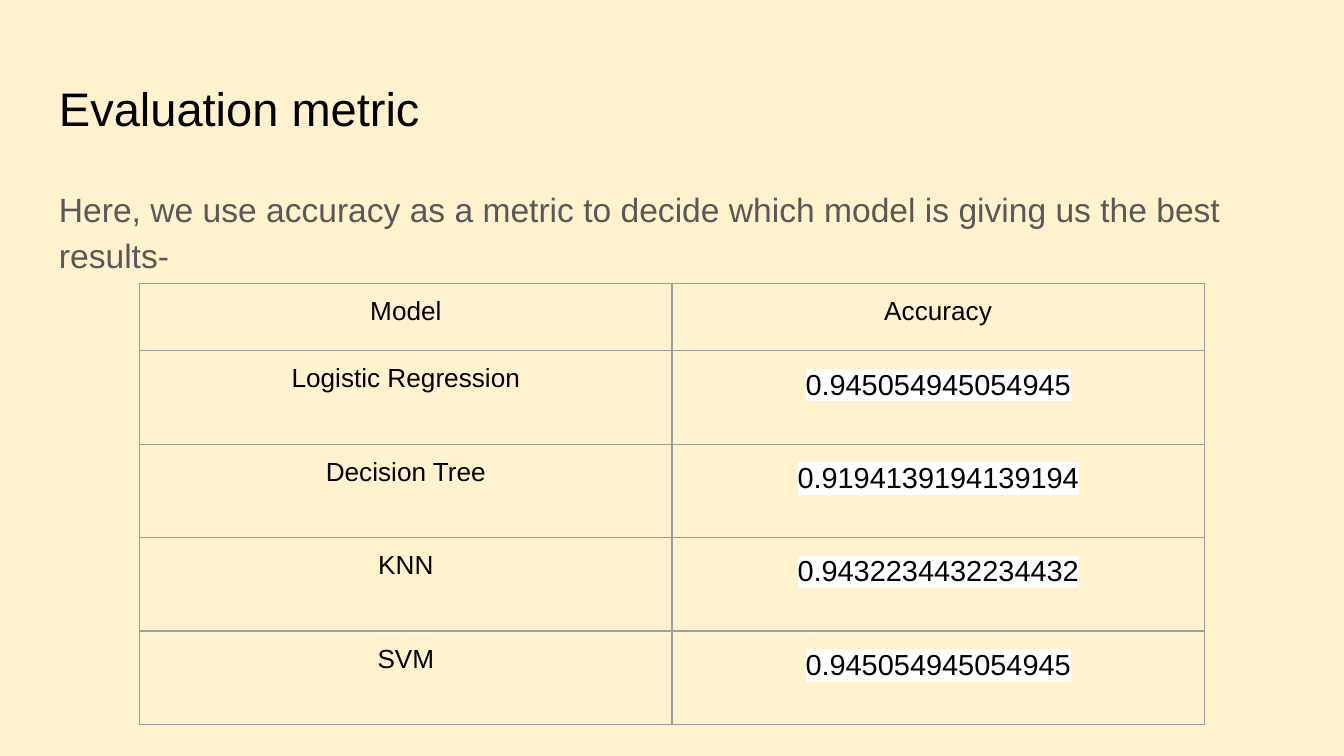
import pptx
import pptx.dml.color
import pptx.enum.text
import pptx.oxml
import pptx.oxml.ns
import pptx.util

TITLE = "Evaluation metric"
INTRO = "Here, we use accuracy as a metric to decide which model is giving us the best results-"
ROWS = [
    ("Model", "Accuracy"),
    ("Logistic Regression", "0.945054945054945"),
    ("Decision Tree", "0.9194139194139194"),
    ("KNN", "0.9432234432234432"),
    ("SVM", "0.945054945054945"),
]
COLORS = {
    "background": "FFF2CC",
    "ink": "000000",
    "intro": "595959",
    "border": "9E9E9E",
    "highlight": "FFFFFF",
}
FONT = "Arial"
WIDTH = 10
HEIGHT = WIDTH * 9 / 16
MARGIN, INSET = 0.34, 0.1
TABLE_LEFT, TABLE_TOP, TABLE_HEIGHT = 1.04, 2.11, 3.28
HEADER_HEIGHT = 0.5
BORDER_WIDTH = 0.75

inches = pptx.util.Inches
points = pptx.util.Pt
CENTER = pptx.enum.text.PP_ALIGN.CENTER
NAMESPACE = pptx.oxml.ns.nsdecls("a")


def color(name):
    return pptx.dml.color.RGBColor.from_string(COLORS[name])


def set_insets(holder):
    for side in ("left", "top", "right", "bottom"):
        setattr(holder, "margin_" + side, inches(INSET))


def write(frame, text, size, ink="ink", align=None, spacing=None, highlight=False):
    para = frame.paragraphs[0]
    para.alignment = align
    para.line_spacing = spacing
    span = para.add_run()
    span.text = text
    span.font.size = points(size)
    span.font.color.rgb = color(ink)
    if highlight:
        mark = pptx.oxml.parse_xml(
            f'<a:highlight {NAMESPACE}><a:srgbClr val="{COLORS["highlight"]}"/></a:highlight>'
        )
        span.font._element.find(pptx.oxml.ns.qn("a:solidFill")).addnext(mark)
    span.font.name = FONT


def add_text(page, top, height, text, size, **style):
    box = page.shapes.add_textbox(
        inches(MARGIN), inches(top), inches(WIDTH - 2 * MARGIN), inches(height)
    )
    box.text_frame.word_wrap = True
    set_insets(box.text_frame)
    write(box.text_frame, text, size, **style)


def add_borders(cell):
    properties = cell._tc.get_or_add_tcPr()
    for position, side in enumerate(("lnL", "lnR", "lnT", "lnB")):
        line = pptx.oxml.parse_xml(
            f'<a:{side} {NAMESPACE} w="{points(BORDER_WIDTH)}"><a:solidFill>'
            f'<a:srgbClr val="{COLORS["border"]}"/></a:solidFill></a:{side}>'
        )
        properties.insert(position, line)


def add_results(page):
    columns = len(ROWS[0])
    table = page.shapes.add_table(
        len(ROWS), columns, inches(TABLE_LEFT), inches(TABLE_TOP),
        inches(WIDTH - 2 * TABLE_LEFT), inches(TABLE_HEIGHT),
    ).table
    table.horz_banding = False
    table.first_row = False
    body_height = (TABLE_HEIGHT - HEADER_HEIGHT) / (len(ROWS) - 1)
    for row, values in enumerate(ROWS):
        table.rows[row].height = inches(body_height if row else HEADER_HEIGHT)
        for column, text in enumerate(values):
            cell = table.cell(row, column)
            set_insets(cell)
            cell.fill.background()
            add_borders(cell)
            if row and column:
                write(cell.text_frame, text, 15.5, align=CENTER, spacing=1.15, highlight=True)
            else:
                write(cell.text_frame, text, 14, align=CENTER)


def main():
    deck = pptx.Presentation()
    deck.slide_width, deck.slide_height = inches(WIDTH), inches(HEIGHT)
    page = deck.slides.add_slide(deck.slide_layouts[6])
    page.background.fill.solid()
    page.background.fill.fore_color.rgb = color("background")
    add_text(page, 0.49, 0.63, TITLE, 25.2)
    add_text(page, 1.26, 3.74, INTRO, 18, ink="intro", spacing=1.15)
    add_results(page)
    deck.save("out.pptx")


if __name__ == "__main__":
    main()
